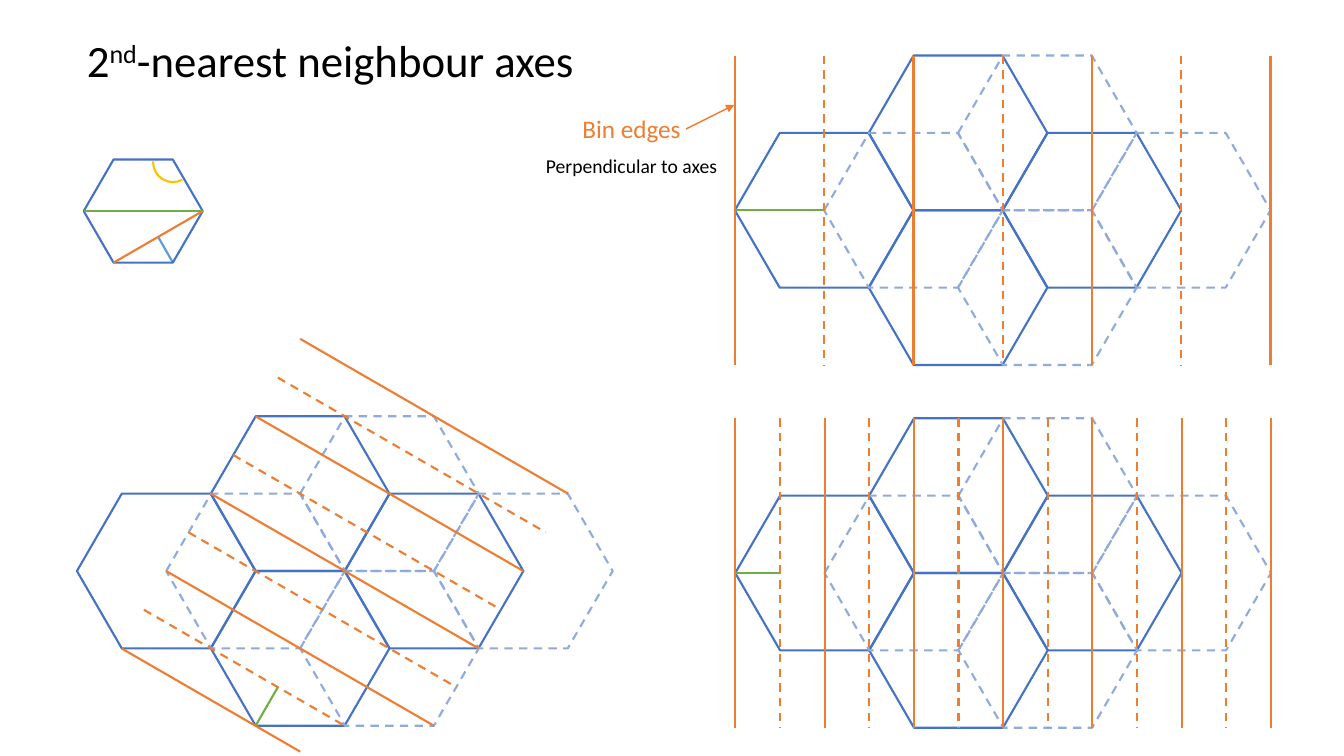
from pptx import Presentation
from pptx.dml.color import RGBColor
from pptx.enum.dml import MSO_LINE_DASH_STYLE as DASH
from pptx.enum.shapes import MSO_CONNECTOR as CONN, MSO_SHAPE as SHAPE
from pptx.enum.text import MSO_ANCHOR as ANCHOR, PP_ALIGN as ALIGN
from pptx.oxml.ns import qn
from pptx.util import Cm, Pt
from lxml import etree

COLORS = {"cell": "4472C4", "shifted": "8FAADC", "edge": "ED7D31", "width": "70AD47",
          "height": "5B9BD5", "angle": "FFC000", "text": "000000"}
ASPECT = 2.6 / 1.5  # hexagon height per side length
CELLS = [(1.5, 0), (1.5, 2), (0, 1), (3, 1)]  # in sides and half heights


def set_line(sp, color, dashed=False, width=1.5):
    sp.line.color.rgb = RGBColor.from_string(COLORS[color])
    sp.line.width = Pt(width)
    if dashed:
        sp.line.dash_style = DASH.DASH


def add_outline(shapes, kind, box, adjustments, color, dashed=False):
    sp = shapes.add_shape(kind, *map(Cm, box))
    for i, value in enumerate(adjustments):
        sp.adjustments[i] = value
    sp.shadow.inherit = False
    sp.fill.background()
    set_line(sp, color, dashed)


def add_line(shapes, start, end, color, dashed=False, width=1.5):
    line = shapes.add_connector(CONN.STRAIGHT, *map(Cm, (*start, *end)))
    set_line(line, color, dashed, width)
    etree.SubElement(line._element.spPr, qn("a:effectLst"))
    return line


def set_text(sp, runs, size, color):
    tf = sp.text_frame
    settings = {"word_wrap": False, "vertical_anchor": ANCHOR.TOP,
                "margin_left": Cm(0.25), "margin_right": Cm(0.25),
                "margin_top": Cm(0.13), "margin_bottom": Cm(0.13)}
    for name, value in settings.items():
        setattr(tf, name, value)
    p = tf.paragraphs[0]
    p.alignment = ALIGN.LEFT
    p.line_spacing = 1.0
    for text, baseline in runs:
        r = p.add_run()
        r.text = text
        for name, value in {"name": "Calibri", "size": Pt(size)}.items():
            setattr(r.font, name, value)
        r.font.color.rgb = RGBColor.from_string(COLORS[color])
        if baseline:
            r._r.get_or_add_rPr().set("baseline", str(baseline * 1000))


class HexGrid:
    """Places parts in units of one side across and half a hexagon down."""

    def __init__(self, slide, left, top, side):
        self.shapes = slide.shapes.add_group_shape().shapes
        self.left, self.top, self.side = left, top, side

    def at(self, u, v):
        return self.left + u * self.side, self.top + v * self.side * ASPECT / 2

    def hexagon(self, u, v, color, dashed=False):
        box = (*self.at(u, v), 2 * self.side, ASPECT * self.side)
        add_outline(self.shapes, SHAPE.HEXAGON, box, [0.29], color, dashed)

    def line(self, start, end, color, dashed=False):
        add_line(self.shapes, self.at(*start), self.at(*end), color, dashed)


def add_title(slide, left, top, width, height):
    title = slide.shapes.title
    for name, value in zip(("left", "top", "width", "height"), (left, top, width, height)):
        setattr(title, name, Cm(value))
    set_text(title, [("2", 0), ("nd", 30), ("-nearest neighbour axes", 0)], 32, "text")


def add_key(slide, left, top, side):
    key = HexGrid(slide, left, top, side)
    key.line((1.5, 2), (1.25, 1.5), "height")
    key.hexagon(0, 0, "cell")
    key.line((0, 1), (2, 1), "width")
    key.line((0.5, 2), (2, 1), "edge")
    add_outline(key.shapes, SHAPE.ARC, (left + 1.75, top - 0.43, 1, 1),
                [37.33, 109.36], "angle")


def add_cluster(slide, left, top, side):
    grid = HexGrid(slide, left, top, side)
    for shift, color in enumerate(("cell", "shifted")):
        for u, v in CELLS:
            grid.hexagon(u + shift, v, color, dashed=bool(shift))
    return grid


def add_vertical_bins(slide, left, top, side, step):
    """Solid bin edges every two steps, dashed ones midway between."""
    grid = add_cluster(slide, left, top, side)
    for i in range(int(6 / step) + 1):
        grid.line((i * step, 0), (i * step, 4), "edge", dashed=i % 2 == 1)
    grid.line((0, 2), (step, 2), "width")


def add_slanted_bins(slide, left, top, side):
    grid = add_cluster(slide, left, top, side)
    for i in range(9):
        u, v = 0.5 + i / 4, 3 - i / 2
        length = min(2 + i / 4, 3) if i < 2 else 3  # lowest two are cut short
        grid.line((u, v), (u + length, v + length * 2 / 3), "edge", dashed=i % 2 == 1)
    grid.line((2, 4), (2.25, 3.5), "width")


def add_bin_label(slide, left, top):
    shapes = slide.shapes.add_group_shape().shapes
    arrow = add_line(shapes, (left + 3.78, top + 0.53), (left + 5, top - 0.08), "edge", width=1)
    etree.SubElement(arrow.line._get_or_add_ln(), qn("a:tailEnd"), type="triangle")
    labels = [("Bin edges", 0.92, 0, 3.02, 1.02, 18, "edge"),
              ("Perpendicular to axes", 0, 1.02, 4.88, 0.86, 14, "text")]
    for text, dx, dy, width, height, size, color in labels:
        tb = shapes.add_textbox(Cm(left + dx), Cm(top + dy), Cm(width), Cm(height))
        set_text(tb, [(text, 0)], size, color)


def main():
    prs = Presentation()
    prs.slide_width, prs.slide_height = Cm(33.87), Cm(19.05)
    slide = prs.slides.add_slide(prs.slide_layouts[5])
    add_title(slide, 1.94, 0.69, 13.41, 1.62)
    add_key(slide, 2.11, 4.02, 1.5)
    add_vertical_bins(slide, 18.52, 1.4, 2.25, step=1)
    add_vertical_bins(slide, 18.53, 10.54, 2.25, step=0.5)
    add_slanted_bins(slide, 1.94, 10.49, 2.25)
    add_bin_label(slide, 13.51, 2.72)
    prs.save("out.pptx")


if __name__ == "__main__":
    main()
